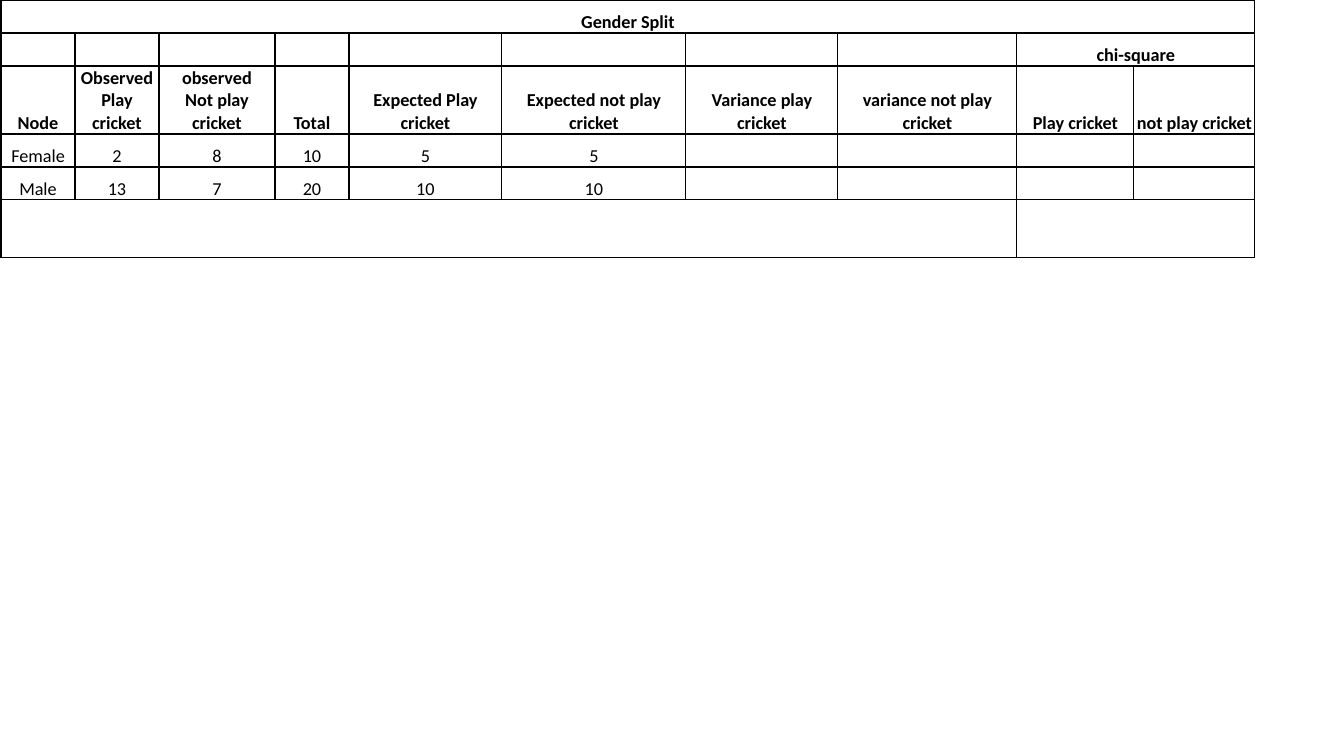
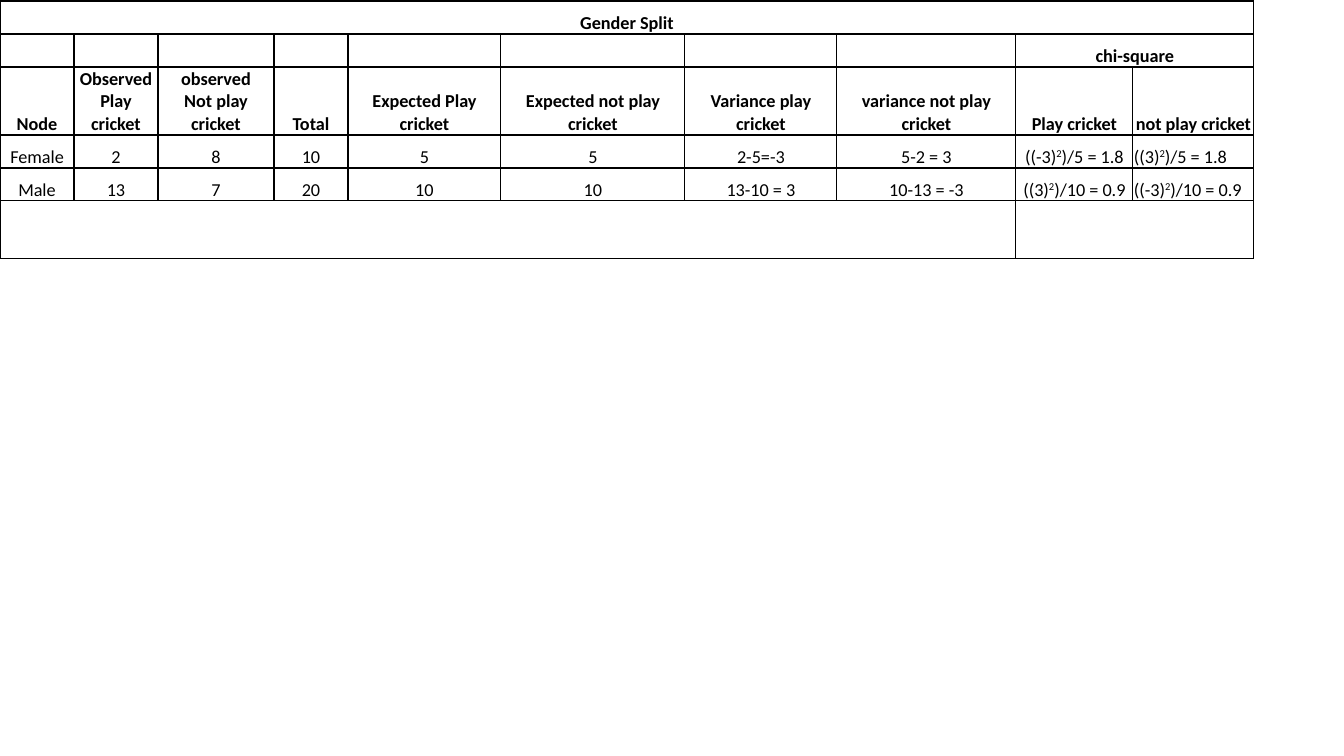
import pptx
import pptx.dml.color
import pptx.enum.text
import pptx.oxml
import pptx.oxml.ns
import pptx.util

EMU_PER_PX = 914400 / 100.8
BLACK = pptx.dml.color.RGBColor(0x00, 0x00, 0x00)
WHITE = pptx.dml.color.RGBColor(0xFF, 0xFF, 0xFF)
CENTER = pptx.enum.text.PP_ALIGN.CENTER
LEFT = pptx.enum.text.PP_ALIGN.LEFT

# Table grid
COL_WIDTHS = [74, 84, 116, 74, 153, 184, 152, 179, 117, 121]
ROW_HEIGHTS = [33, 33, 68, 33, 33, 58]
MERGES = [(0, 0, 9), (1, 8, 9), (5, 0, 7), (5, 8, 9)]  # row, first and last column
HEADER_ROWS = 3

# Table text; ^ encloses superscripts
HEADER = [
    ["Gender Split"],
    [""] * 8 + ["chi-square"],
    ["Node", "Observed\nPlay cricket", "observed\nNot play cricket", "Total",
     "Expected Play cricket", "Expected not play cricket",
     "Variance play cricket", "variance not play cricket",
     "Play cricket", "not play cricket"],
]
COUNTS = [
    ["Female", "2", "8", "10", "5", "5"],
    ["Male", "13", "7", "20", "10", "10"],
]
RESULTS = [
    ["2-5=-3", "5-2 = 3", "((-3)^2^)/5 = 1.8", "((3)^2^)/5 = 1.8"],
    ["13-10 = 3", "10-13 = -3", "((3)^2^)/10 = 0.9", "((-3)^2^)/10 = 0.9"],
]


def px(n):
    return pptx.util.Emu(round(n * EMU_PER_PX))


class Deck:
    """Holds the shared style and the current slide."""

    font = "Calibri"
    size = pptx.util.Pt(13)
    border = pptx.util.Pt(1)

    def __init__(self, width, height):
        self.prs = pptx.Presentation()
        self.prs.slide_width, self.prs.slide_height = px(width), px(height)
        self.slide = None

    def add_slide(self):
        self.slide = self.prs.slides.add_slide(self.prs.slide_layouts[6])

    def table(self, left, top, rows):
        frame = self.slide.shapes.add_table(
            len(ROW_HEIGHTS), len(COL_WIDTHS), px(left), px(top),
            px(sum(COL_WIDTHS)), px(sum(ROW_HEIGHTS)))
        tbl = frame.table
        tbl.first_row = tbl.horz_banding = False
        for col, width in zip(tbl.columns, COL_WIDTHS):
            col.width = px(width)
        for row, height in zip(tbl.rows, ROW_HEIGHTS):
            row.height = px(height)
        for cell in tbl.iter_cells():
            self.style_cell(cell)
        for row, first, last in MERGES:
            tbl.cell(row, first).merge(tbl.cell(row, last))
        for i, texts in enumerate(rows):
            for j, text in enumerate(texts):
                if text:
                    # Formulas in the last column start at the left edge
                    align = LEFT if "^" in text and j == len(COL_WIDTHS) - 1 else CENTER
                    self.cell_text(tbl.cell(i, j), text, i < HEADER_ROWS, align)

    def style_cell(self, cell):
        cell.margin_left = cell.margin_right = cell.margin_top = px(1)
        cell.margin_bottom = 0
        cell.vertical_anchor = pptx.enum.text.MSO_ANCHOR.BOTTOM
        tcPr = cell._tc.get_or_add_tcPr()
        for side in ("lnL", "lnR", "lnT", "lnB"):
            tcPr.append(pptx.oxml.parse_xml(
                f'<a:{side} {pptx.oxml.ns.nsdecls("a")} w="{self.border}">'
                f'<a:solidFill><a:srgbClr val="{BLACK}"/></a:solidFill></a:{side}>'))
        cell.fill.solid()
        cell.fill.fore_color.rgb = WHITE

    def cell_text(self, cell, text, bold, align):
        tf = cell.text_frame
        tf.text = text.replace("^", "") if "^" not in text else ""
        if "^" in text:
            for k, part in enumerate(text.split("^")):
                r = tf.paragraphs[0].add_run()
                r.text = part
                if k % 2:
                    r._r.get_or_add_rPr().set("baseline", "30000")
        for p in tf.paragraphs:
            p.alignment = align
            for r in p.runs:
                r.font.name, r.font.size, r.font.bold = self.font, self.size, bold
                r.font.color.rgb = BLACK


def main():
    deck = Deck(1344, 756)

    # Observed and expected counts
    deck.add_slide()
    deck.table(1, 0, HEADER + COUNTS)

    # Counts with variance and chi-square
    deck.add_slide()
    deck.table(0, 1, HEADER + [c + r for c, r in zip(COUNTS, RESULTS)])

    deck.prs.save("out.pptx")


if __name__ == "__main__":
    main()
